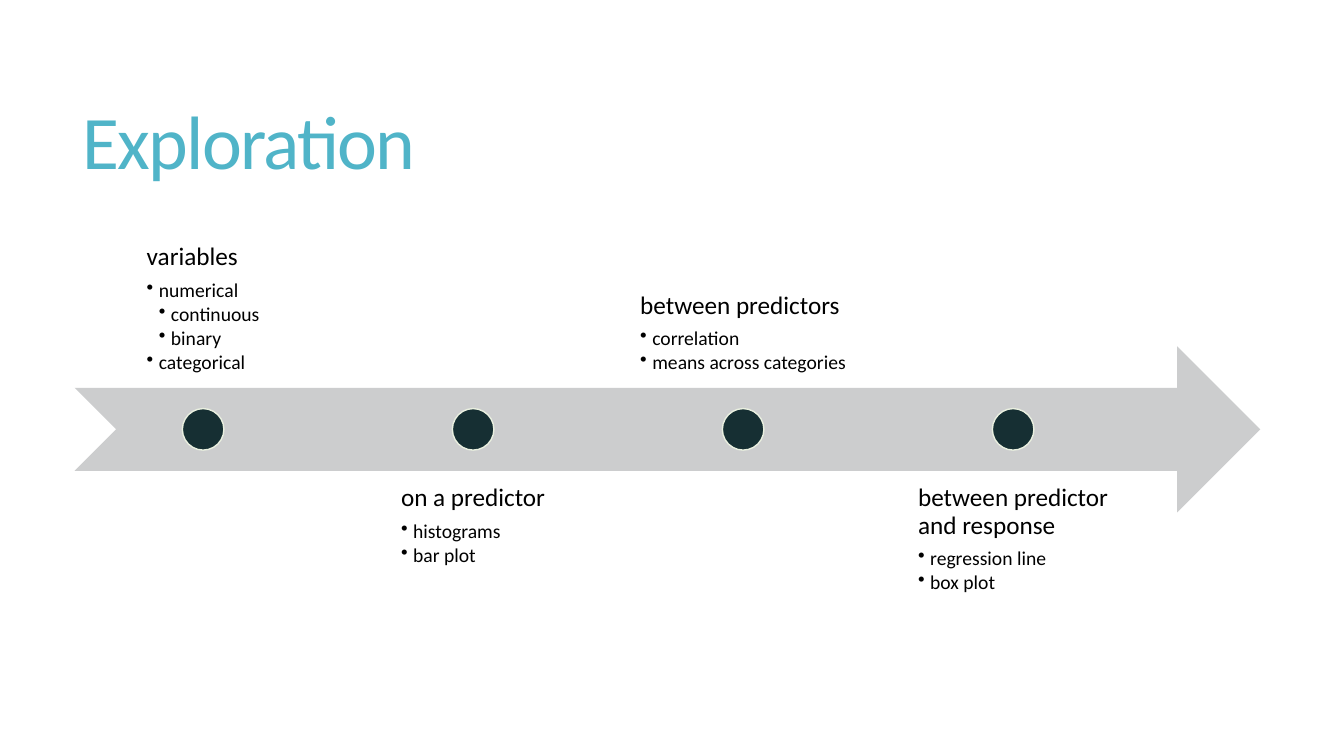
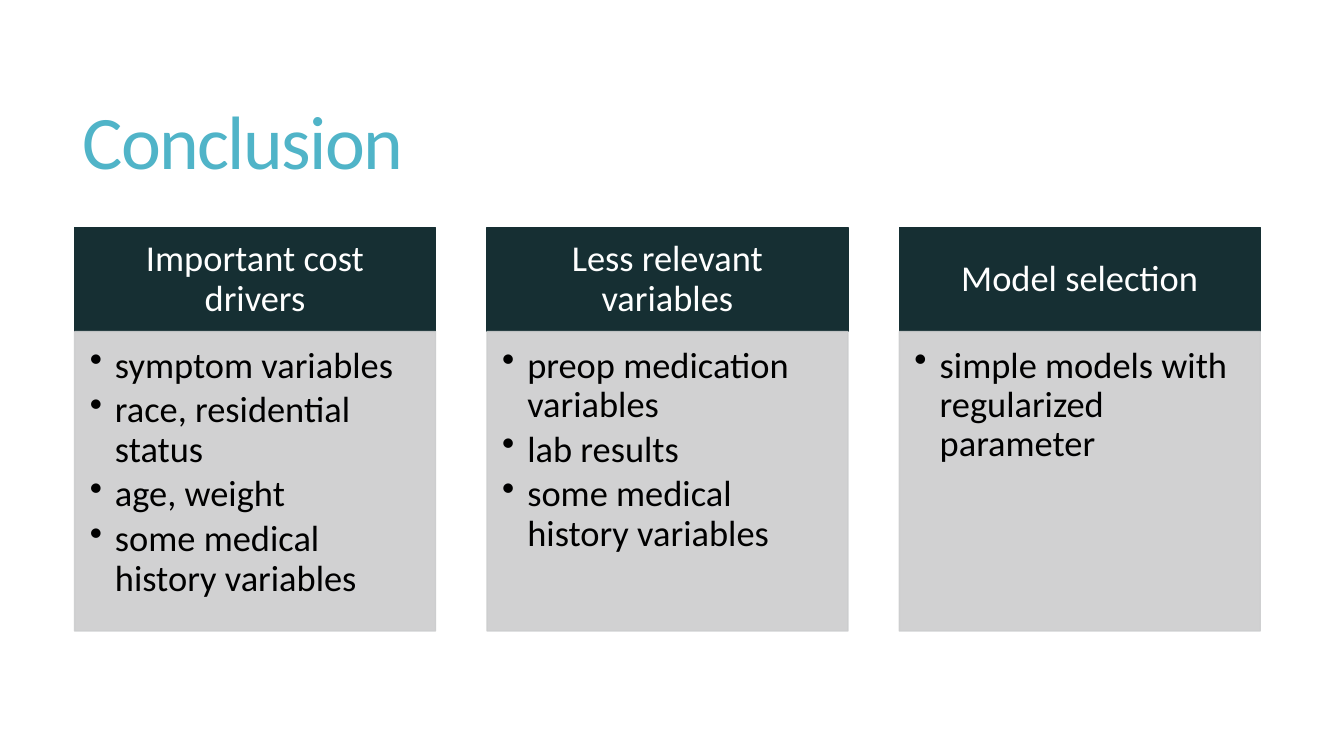
import pptx
import pptx.dml.color
import pptx.enum.shapes
import pptx.enum.text
import pptx.oxml.ns
import pptx.util
from lxml import etree

Inches, Pt = pptx.util.Inches, pptx.util.Pt
SHAPE = pptx.enum.shapes.MSO_SHAPE
ANCHOR = pptx.enum.text.MSO_ANCHOR
ALIGN = pptx.enum.text.PP_ALIGN
qn = pptx.oxml.ns.qn

COLORS = {
    "title": "50B4C8", "dark": "162F33", "grey": "CCCDCE",
    "dot_line": "EAF0E0", "text": "000000", "white": "FFFFFF",
}
FONT = "Calibri"
CONTENT_LEFT, CONTENT_WIDTH = 0.74, 11.76

STEPS = [
    ("variables", [("numerical", 1), ("continuous", 2), ("binary", 2), ("categorical", 1)]),
    ("on a predictor", [("histograms", 1), ("bar plot", 1)]),
    ("between predictors", [("correlation", 1), ("means across categories", 1)]),
    ("between predictor and response", [("regression line", 1), ("box plot", 1)]),
]
COLUMNS = [
    ("Important cost drivers",
     ["symptom variables", "race, residential status", "age, weight",
      "some medical history variables"]),
    ("Less relevant variables",
     ["preop medication variables", "lab results", "some medical history variables"]),
    ("Model selection", ["simple models with regularized parameter"]),
]


def rgb(name):
    return pptx.dml.color.RGBColor.from_string(COLORS[name])


def set_attrs(obj, values):
    for name, value in values.items():
        setattr(obj, name, value)


def set_alpha(fill_format, percent):
    for clr in fill_format.iter(qn("a:srgbClr")):
        etree.SubElement(clr, qn("a:alpha")).set("val", str(percent * 1000))


def add_box(s, kind, box, fill, line=None, opacity=100):
    sp = s.shapes.add_shape(kind, *map(Inches, box))
    sp.shadow.inherit = False
    sp.fill.solid()
    sp.fill.fore_color.rgb = rgb(fill)
    if line:
        sp.line.color.rgb = rgb(line)
        sp.line.width = Pt(1)
    else:
        sp.line.fill.background()
    if opacity < 100:
        set_alpha(sp.element.spPr, opacity)
    return sp


def set_frame(tf, anchor, insets):
    sides = ("margin_left", "margin_top", "margin_right", "margin_bottom")
    set_attrs(tf, dict(zip(sides, map(Inches, insets))))
    set_attrs(tf, {"word_wrap": True, "vertical_anchor": anchor})


def add_text(tf, text, size, color="text", align=ALIGN.LEFT, spacing=0.9,
             after=0.35, level=0, indent=0):
    p = tf.paragraphs[0]
    if p.runs:
        p = tf.add_paragraph()
    set_attrs(p, {"alignment": align, "line_spacing": spacing,
                  "space_after": Pt(size * after), "level": level})
    r = p.add_run()
    r.text = text
    set_attrs(r.font, {"size": Pt(size), "name": FONT})
    r.font.color.rgb = rgb(color)
    if level:
        pPr = p._p.get_or_add_pPr()
        pPr.set("marL", str(Inches(indent * level)))
        pPr.set("indent", str(-Inches(indent)))
        etree.SubElement(pPr, qn("a:buChar")).set("char", "•")
    return r


def add_title(s, text):
    sp = s.shapes.add_textbox(*map(Inches, (0.72, 0.55, 11.78, 1.81)))
    set_frame(sp.text_frame, ANCHOR.MIDDLE, (0.1, 0.05, 0.1, 0.05))
    r = add_text(sp.text_frame, text, 54, "title", spacing=0.85, after=0)
    r.font._element.set("spc", "-120")


def add_step_label(s, box, anchor, heading, items):
    sp = s.shapes.add_textbox(*map(Inches, box))
    tf = sp.text_frame
    set_frame(tf, anchor, [0.14] * 4)
    sp.element.txBody.find(qn("a:bodyPr")).set("anchorCtr", "1")
    add_text(tf, heading, 18)
    for text, level in items:
        add_text(tf, text, 14, after=0.15, level=level, indent=0.12)


def add_timeline(s, box, steps):
    left, top, width, height = box
    band = height * 0.4
    add_box(s, SHAPE.NOTCHED_RIGHT_ARROW, (left, top + height * 0.3, width, band), "grey")
    gap_ratio = 0.05
    n = len(steps)
    label_w = width * 0.9 / (n + gap_ratio * (n - 1))
    dot = band / 4
    for i, (heading, items) in enumerate(steps):
        x = left + i * label_w * (1 + gap_ratio)
        below = i % 2
        y = top + below * (height - band)
        anchor = ANCHOR.TOP if below else ANCHOR.BOTTOM
        add_step_label(s, (x, y, label_w, band), anchor, heading, items)
        add_box(s, SHAPE.OVAL,
                (x + (label_w - dot) / 2, top + (height - dot) / 2, dot, dot),
                "dark", "dot_line")


def add_column(s, box, heading, items):
    left, top, width, height = box
    head_h = 1.03
    head = add_box(s, SHAPE.RECTANGLE, (left, top, width, head_h), "dark", "dark")
    set_frame(head.text_frame, ANCHOR.MIDDLE, (0.2, 0.12, 0.2, 0.12))
    add_text(head.text_frame, heading, 26, "white", ALIGN.CENTER)
    body = add_box(s, SHAPE.RECTANGLE, (left, top + head_h, width, height - head_h),
                   "grey", "grey", opacity=90)
    set_frame(body.text_frame, ANCHOR.TOP, (0.15, 0.15, 0.2, 0.23))
    for text in items:
        add_text(body.text_frame, text, 26, after=0.15, level=1, indent=0.25)


def add_columns(s, box, columns):
    left, top, width, height = box
    col_w = 3.58
    step = (width - col_w) / (len(columns) - 1)
    for i, (heading, items) in enumerate(columns):
        add_column(s, (left + i * step, top, col_w, height), heading, items)


def add_slide(prs, title):
    s = prs.slides.add_slide(prs.slide_layouts[6])
    add_title(s, title)
    return s


def main():
    prs = pptx.Presentation()
    set_attrs(prs, {"slide_width": Inches(13.33), "slide_height": Inches(7.5)})
    add_timeline(add_slide(prs, "Exploration"),
                 (CONTENT_LEFT, 2.2, CONTENT_WIDTH, 4.12), STEPS)
    add_columns(add_slide(prs, "Conclusion"),
                (CONTENT_LEFT, 2.26, CONTENT_WIDTH, 4), COLUMNS)
    prs.save("out.pptx")


if __name__ == "__main__":
    main()
